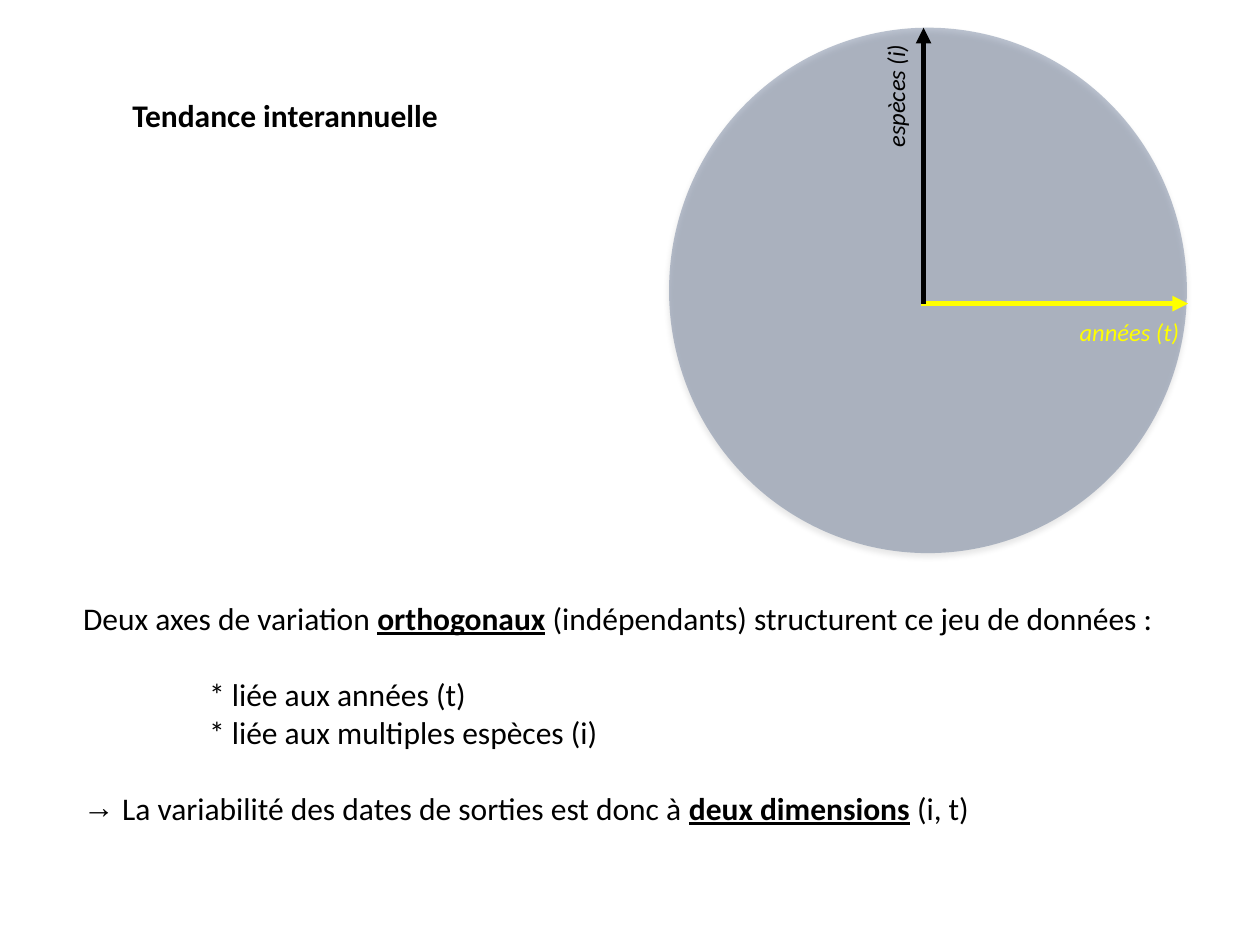
from lxml import etree
from pptx import Presentation
from pptx.dml.color import RGBColor
from pptx.enum.shapes import MSO_CONNECTOR, MSO_SHAPE
from pptx.enum.text import MSO_ANCHOR, MSO_AUTO_SIZE, PP_ALIGN
from pptx.oxml.ns import qn
from pptx.util import Inches, Pt

LINE = MSO_CONNECTOR.STRAIGHT
OVAL = MSO_SHAPE.OVAL
TOP, LEFT = MSO_ANCHOR.TOP, PP_ALIGN.LEFT
NO_FIT = MSO_AUTO_SIZE.NONE

THEME = {"font": "Calibri", "ink": "000000", "year": "FFFF00", "disc": "203864",
         "text": 18, "label": 14, "axis": 3}
GAP = 22  # one line of body text, in points

TITLE = ("Tendance interannuelle", (0.95, 0.71, 3.4, 0.4))
DISC = (5.31, 0.22, 4.11, 4.17)
AXES = [  # name, label box, rotation, line ends, colour
    ("années (t)", (8.47, 2.47, 1.04, 0.34), 0, (7.31, 2.41, 9.43, 2.41), "year"),
    ("espèces (i)", (6.59, 0.58, 1.04, 0.34), 270, (7.33, 2.41, 7.33, 0.22), "ink"),
]
BODY_BOX = (0.56, 4.7, 8.87, 1.92)
BODY = [  # runs (text, strong), left margin, bullet, space before
    ([("Deux axes de variation ", False), ("orthogonaux", True),
      (" (indépendants) structurent ce jeu de données :", False)], 0, None, 0),
    ([("* liée aux années (t)", False)], 1, None, GAP),
    ([("* liée aux multiples espèces (i)", False)], 1, None, 0),
    ([("La variabilité des dates de sorties est donc à ", False),
      ("deux dimensions", True), (" (i, t)", False)], 0.31, "→", GAP),
]


def add(parent, tag, **attrs):
    return etree.SubElement(parent, qn(tag), {k: str(v) for k, v in attrs.items()})


def rgb(name):
    return RGBColor.from_string(THEME[name])


def place(shape, box):
    for key, val in zip(("left", "top", "width", "height"), box):
        setattr(shape, key, Inches(val))


def setup(frame, wrap):
    looks = {"word_wrap": wrap, "auto_size": NO_FIT, "vertical_anchor": TOP}
    for key, val in looks.items():
        setattr(frame, key, val)


def write(para, text, size="text", ink="ink", **looks):
    run = para.add_run()
    run.text = text
    looks |= {"name": THEME["font"], "size": Pt(THEME[size])}
    for key, val in looks.items():
        setattr(run.font, key, val)
    run.font.color.rgb = rgb(ink)


def add_disc(slide):
    """Draw the see-through disc with its soft shadow."""
    disc = slide.shapes.add_shape(OVAL, *map(Inches, DISC))
    disc.fill.solid()
    disc.fill.fore_color.rgb = rgb("disc")
    disc.line.fill.background()
    props = disc.fill._xPr
    add(props.find(".//" + qn("a:srgbClr")), "a:alpha", val=30000)
    glow = add(add(props, "a:effectLst"), "a:outerShdw", blurRad=Pt(3.5),
               dist=Pt(2.2), dir=90 * 60000, rotWithShape=0)
    add(add(glow, "a:srgbClr", val=THEME["ink"]), "a:alpha", val=32000)


def add_axis(slide, name, box, turn, ends, ink):
    axis = slide.shapes.add_connector(LINE, *map(Inches, ends))
    axis.line.width = Pt(THEME["axis"])
    axis.line.color.rgb = rgb(ink)
    add(axis.line._get_or_add_ln(), "a:tailEnd", type="triangle")
    add(axis._element.spPr, "a:effectLst")
    label = slide.shapes.add_textbox(*map(Inches, box))
    label.rotation = turn
    setup(label.text_frame, False)
    write(label.text_frame.paragraphs[0], name, "label", ink, italic=True)


def fill_body(shape):
    place(shape, BODY_BOX)
    frame = shape.text_frame
    setup(frame, True)
    for i, (runs, left, mark, space) in enumerate(BODY):
        para = frame.paragraphs[0] if i == 0 else frame.add_paragraph()
        para.space_before = Pt(space)
        props = para._p.get_or_add_pPr()
        props.set("marL", str(Inches(left)))
        props.set("indent", str(-Inches(left) if mark else 0))
        if mark:
            add(props, "a:buChar", char=mark)
        else:
            add(props, "a:buNone")
        for text, strong in runs:
            write(para, text, bold=strong, underline=strong)


def main():
    deck = Presentation()
    deck.slide_width, deck.slide_height = Inches(10), Inches(7.5)
    slide = deck.slides.add_slide(deck.slide_layouts[1])
    title, body = slide.placeholders
    text, box = TITLE
    place(title, box)
    setup(title.text_frame, True)
    para = title.text_frame.paragraphs[0]
    para.alignment = LEFT
    write(para, text, bold=True)
    fill_body(body)
    add_disc(slide)
    for axis in AXES:
        add_axis(slide, *axis)
    deck.save("out.pptx")


if __name__ == "__main__":
    main()
